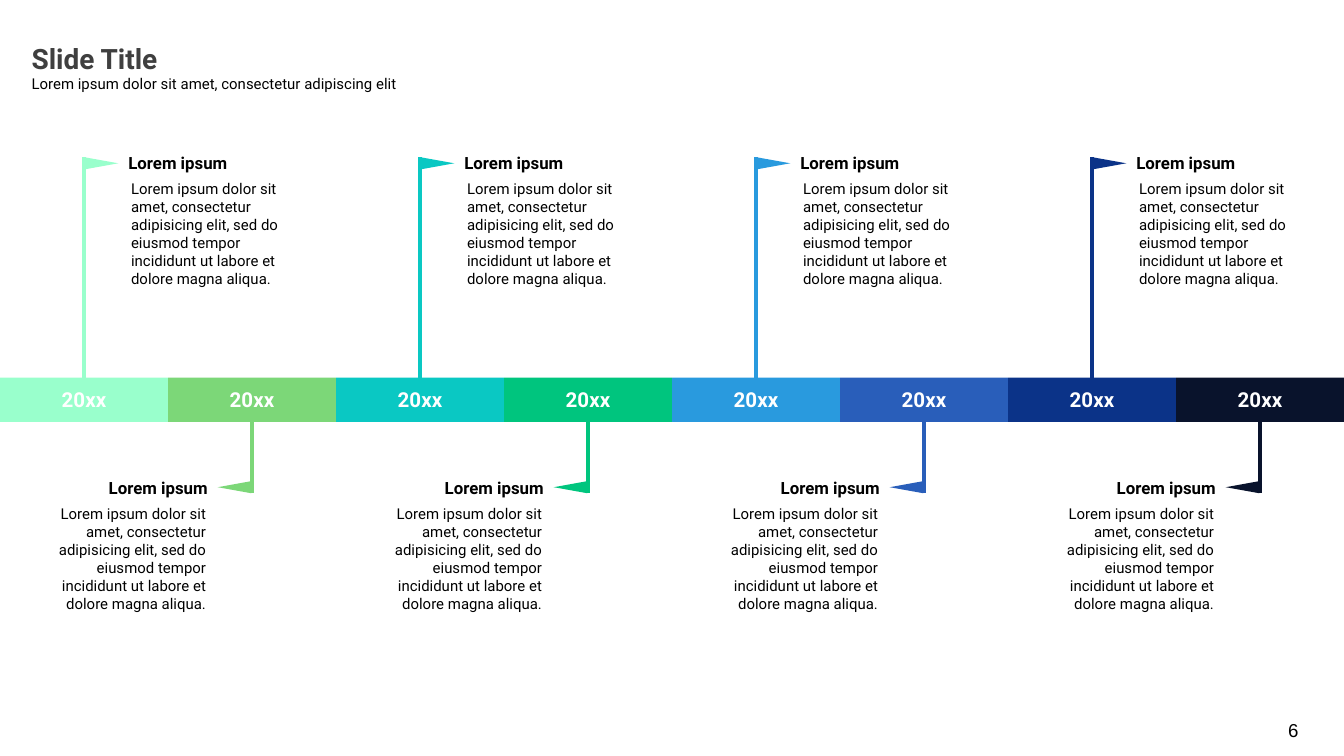
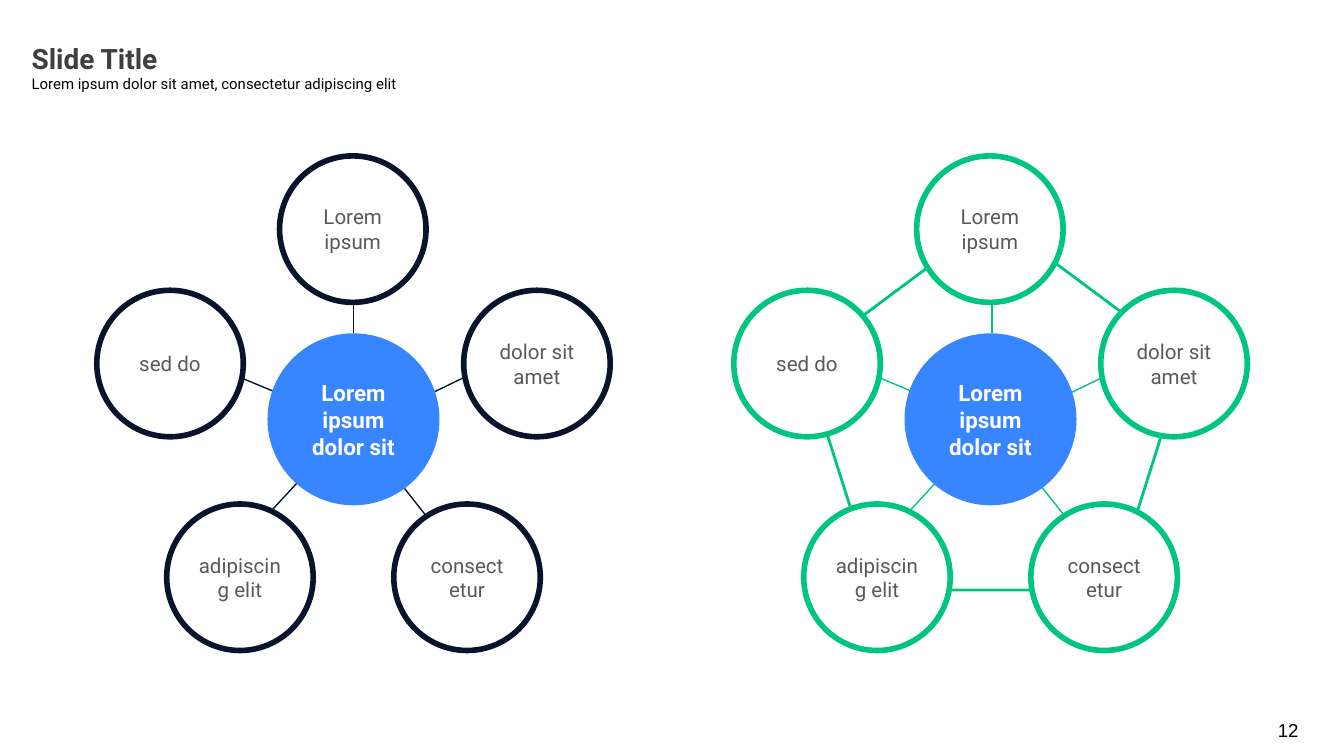
from lxml import etree
from pptx import Presentation
from pptx.dml.color import RGBColor
from pptx.enum import shapes, text
from pptx.oxml import ns
from pptx.util import Inches, Pt

rgb = RGBColor.from_string
KIND = shapes.MSO_SHAPE
LEFT, MID, RIGHT = text.PP_ALIGN.LEFT, text.PP_ALIGN.CENTER, text.PP_ALIGN.RIGHT
BLACK, WHITE, GREY, DARK = "000000", "FFFFFF", "595959", "3F3F3F"
NAVY, GREEN, BLUE = "09132C", "00C57E", "3785FF"


def draw(slide, kind, box, fill=None, edge=None, width=0.75):
    """Add a preset shape in box, or, if kind is None, a line whose ends are box."""
    box = [Inches(v) for v in box]
    if kind is None:
        item = slide.shapes.add_connector(shapes.MSO_CONNECTOR.STRAIGHT, *box)
        etree.SubElement(item._element.spPr, ns.qn("a:effectLst"))
    else:
        item = slide.shapes.add_shape(kind, *box)
        item.shadow.inherit = False
        if fill:
            item.fill.solid()
            item.fill.fore_color.rgb = rgb(fill)
        else:
            item.fill.background()
    if edge:
        item.line.color.rgb = rgb(edge)
        item.line.width = Pt(width)
    else:
        item.line.fill.background()
    return item


def write(item, words, size, color=BLACK, bold=False, align=LEFT,
          anchor=text.MSO_ANCHOR.TOP, face="Roboto", pad=(5.4, 2.7)):
    """Fill item with one paragraph; pad holds the side and top insets in points."""
    frame = item.text_frame
    frame.text = words
    frame.word_wrap = True
    frame.auto_size = text.MSO_AUTO_SIZE.NONE
    frame.vertical_anchor = anchor
    frame.margin_left = frame.margin_right = Pt(pad[0])
    frame.margin_top = frame.margin_bottom = Pt(pad[1])
    para = frame.paragraphs[0]
    para.alignment = align
    para.font.name, para.font.size, para.font.bold = face, Pt(size), bold
    para.font.color.rgb = rgb(color)


deck = Presentation()
deck.slide_width = Inches(10)
deck.slide_height = deck.slide_width * 9 // 16

# Title, subtitle and page number of both slides
pages = []
for number in ("6", "12"):
    page = deck.slides.add_slide(deck.slide_layouts[5])
    title = page.shapes.title
    title.left, title.top = Inches(0.16), Inches(0.27)
    title.width, title.height = Inches(5.33), Inches(0.33)
    write(title, "Slide Title", 15, DARK, True)
    sub = page.shapes.add_textbox(*map(Inches, (0.16, 0.52, 5.33, 0.21)))
    write(sub, "Lorem ipsum dolor sit amet, consectetur adipiscing elit", 8)
    foot = page.shapes.add_textbox(*map(Inches, (9.36, 5.25, 0.4, 0.37)))
    write(foot, number, 10, align=RIGHT, face="Arial", pad=(7.2, 7.2))
    pages.append(page)
time, wheel = pages

# Timeline: flags alternate above and below the band
STEP = 1.25
BODY = ("Lorem ipsum dolor sit amet, consectetur adipisicing elit, sed do "
        "eiusmod tempor incididunt ut labore et dolore magna aliqua.")
years = ["99FFCC", "7CD778", "0AC8C3", GREEN, "299ADE", "295EBA", "0B3388", NAVY]
for i, color in enumerate(years):
    x = i * STEP
    mast = x + STEP / 2
    if i % 2 == 0:
        start, end, flag, turn, align = 2.81, 1.17, (x + 0.71, 1.09), 90, LEFT
        head, body = (x + 0.88, 1.1), (x + 0.9, 1.3)
    else:
        start, end, flag, turn, align = 3.13, 3.67, (x + 0.45, 3.5), 270, RIGHT
        head, body = (x - 1.06, 3.52), (x - 1.06, 3.72)
    draw(time, None, (mast, start, mast, end), edge=color, width=2.25)
    draw(time, KIND.ISOSCELES_TRIANGLE, (*flag, 0.09, 0.25), color).rotation = turn
    band = draw(time, KIND.RECTANGLE, (x, 2.81, STEP, 0.33), color)
    write(band, "20xx", 11, WHITE, True, MID, text.MSO_ANCHOR.MIDDLE)
    note = time.shapes.add_textbox(*map(Inches, (*body, 1.42, 0.91)))
    write(note, BODY, 8, align=align)
    name = time.shapes.add_textbox(*map(Inches, (*head, 1.43, 0.23)))
    write(name, "Lorem ipsum", 9, bold=True, align=align)

# Wheels: a hub with five circles, the second one ringed by a pentagon
spokes = [(2.63, 2.25, 2.63, 2.48), (1.79, 2.81, 2.08, 2.93),
          (2.02, 3.8, 2.38, 3.41), (3.18, 3.85, 2.88, 3.47),
          (3.45, 2.81, 3.12, 2.97)]
nodes = [("Lorem ipsum", 2.08, 1.16), ("sed do", 0.72, 2.16),
         ("dolor sit amet", 3.45, 2.16), ("adipiscing elit", 1.24, 3.75),
         ("consectetur", 2.93, 3.75)]
for dx, shift, color, ring in ((0, 0, NAVY, False), (4.74, 4.75, GREEN, True)):
    for x1, y1, x2, y2 in spokes:
        draw(wheel, None, (x1 + shift, y1, x2 + shift, y2), edge=color)
    if ring:
        draw(wheel, KIND.REGULAR_PENTAGON, (1.24 + dx, 1.62, 2.84, 2.77),
             edge=color, width=1.5)
    hub = draw(wheel, KIND.OVAL, (1.99 + dx, 2.48, 1.28, 1.28), BLUE)
    write(hub, "Lorem ipsum dolor sit", 12, WHITE, True, MID, text.MSO_ANCHOR.MIDDLE)
    for words, x, y in nodes:
        node = draw(wheel, KIND.OVAL, (x + dx, y, 1.09, 1.09), WHITE, color, 3)
        write(node, words, 11, GREY, align=MID, anchor=text.MSO_ANCHOR.MIDDLE)

deck.save("out.pptx")
